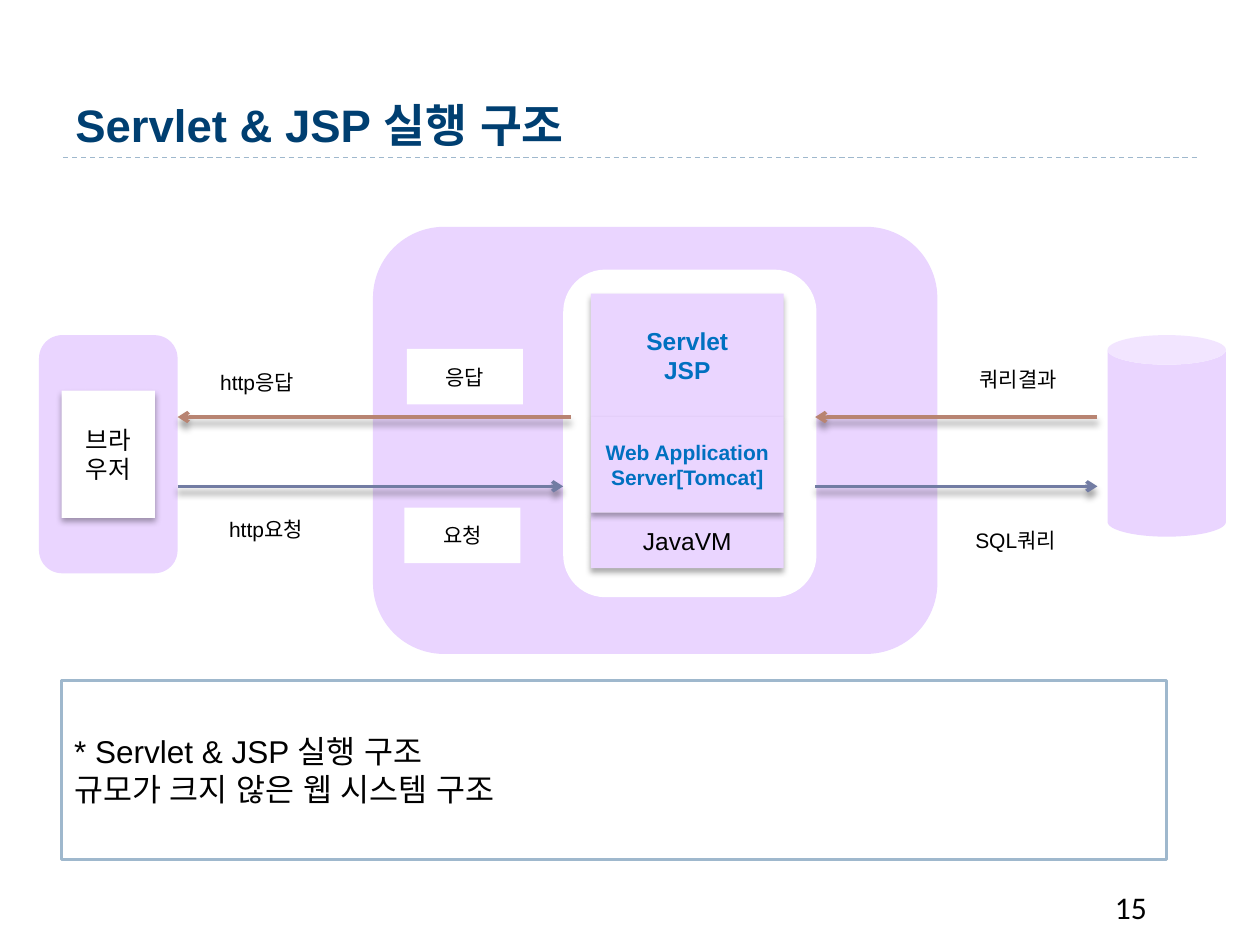
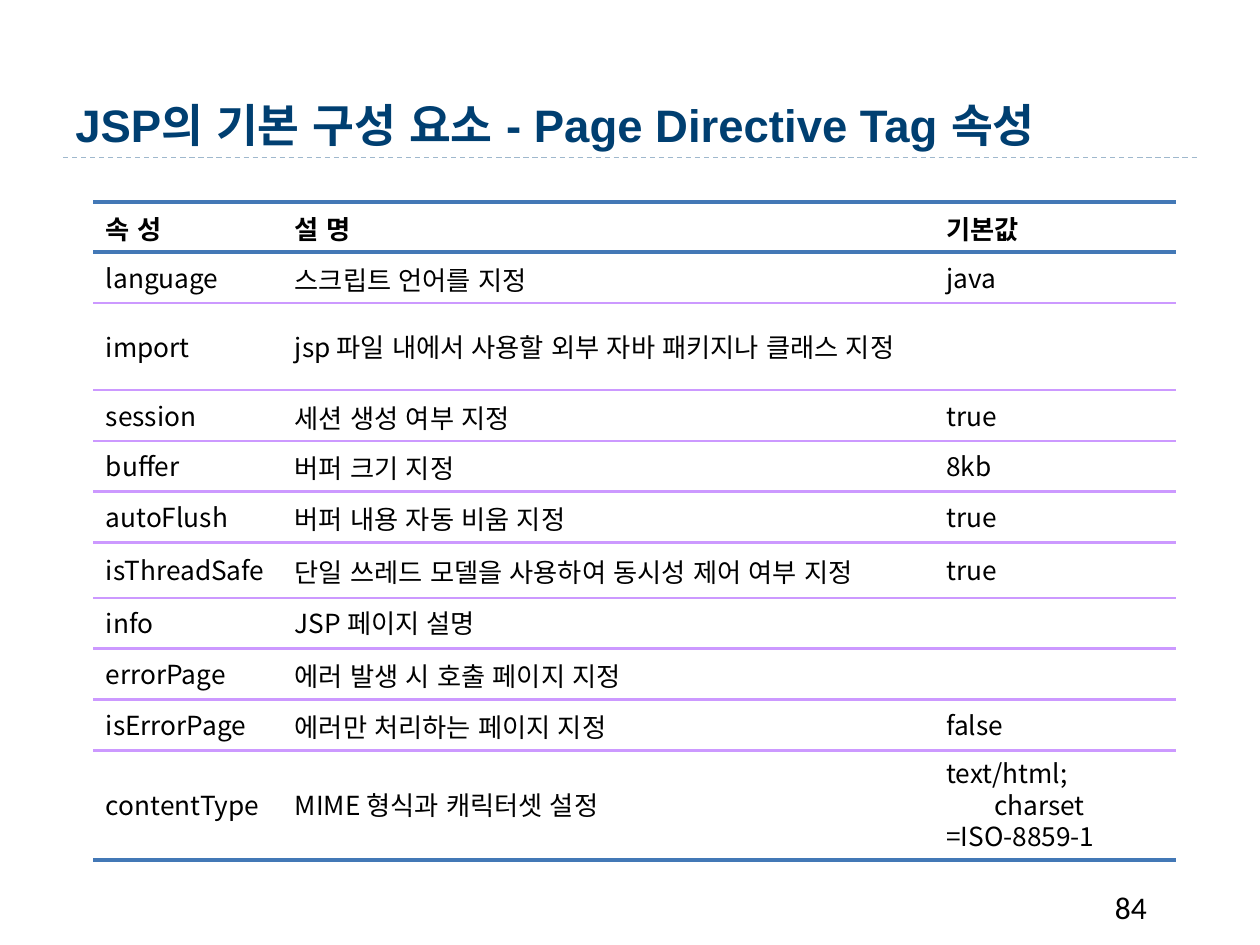
from itertools import accumulate

from lxml.etree import SubElement
from pptx import Presentation
from pptx.dml.color import RGBColor
from pptx.enum.dml import MSO_LINE
from pptx.enum.shapes import MSO_CONNECTOR, MSO_SHAPE
from pptx.enum.text import MSO_ANCHOR, PP_ALIGN
from pptx.oxml.ns import qn
from pptx.util import Inches, Pt

COLORS = {
    "title": "003F71", "rule": "9FB8CD", "text": "000000", "white": "FFFFFF",
    "lilac": "EAD5FF", "accent": "0070C0", "request": "727CA3",
    "response": "B88472", "heavy": "4378B6", "light": "CC99FF",
}
FONT, NUMBER_FONT, TABLE_FONT = "Arial", "Calibri", "Noto Sans CJK KR"
NO_STYLE_NO_GRID = "{2D5ABB26-0587-4C30-8999-92F81FD0307C}"

STRUCTURE_TITLE, STRUCTURE_PAGE = "Servlet & JSP 실행 구조", 15
# kind, (left, top, width, height), fill
PANELS = [
    (MSO_SHAPE.ROUNDED_RECTANGLE, (2.96, 1.8, 4.48, 3.39), "lilac"),
    (MSO_SHAPE.ROUNDED_RECTANGLE, (0.31, 2.66, 1.1, 1.89), "lilac"),
    (MSO_SHAPE.ROUNDED_RECTANGLE, (4.47, 2.14, 2.01, 2.6), "white"),
    (MSO_SHAPE.CAN, (8.79, 2.66, 0.94, 1.6), "lilac"),
]
# lines of text, (left, top, width, height), fill, size, colour, bold
BLOCKS = [
    (["브라", "우저"], (0.49, 3.1, 0.74, 1.01), "white", 14, "text", False),
    (["Servlet", "JSP"], (4.69, 2.33, 1.53, 0.98), "lilac", 14, "accent", True),
    (["JavaVM"], (4.69, 4.07, 1.53, 0.44), "lilac", 14, "text", False),
    (["Web Application Server[Tomcat]"], (4.69, 3.31, 1.53, 0.76),
     "lilac", 12, "accent", True),
]
# start x, end x, y, colour
ARROWS = [
    (1.41, 4.47, 3.86, "request"),
    (6.47, 8.71, 3.86, "request"),
    (8.71, 6.47, 3.31, "response"),
    (4.53, 1.41, 3.31, "response"),
]
LABEL_SIZE = (0.92, 0.44)
LABELS = [
    ("http요청", 1.65, 3.98), ("요청", 3.21, 4.03), ("SQL쿼리", 7.6, 4.07),
    ("쿼리결과", 7.62, 2.79), ("응답", 3.23, 2.77), ("http응답", 1.58, 2.81),
]
SUMMARY = ["* Servlet & JSP 실행 구조", "규모가 크지 않은 웹 시스템 구조"]

DIRECTIVE_TITLE, DIRECTIVE_PAGE = "JSP의 기본 구성 요소 - Page Directive Tag 속성", 84
ATTRIBUTES = [
    ("속 성", "설 명", "기본값"),
    ("language", "스크립트 언어를 지정", "java"),
    ("import", "jsp 파일 내에서 사용할 외부 자바 패키지나 클래스 지정", ""),
    ("session", "세션 생성 여부 지정", "true"),
    ("buffer", "버퍼 크기 지정", "8kb"),
    ("autoFlush", "버퍼 내용 자동 비움 지정", "true"),
    ("isThreadSafe", "단일 쓰레드 모델을 사용하여 동시성 제어 여부 지정", "true"),
    ("info", "JSP 페이지 설명", ""),
    ("errorPage", "에러 발생 시 호출 페이지 지정", ""),
    ("isErrorPage", "에러만 처리하는 페이지 지정", "false"),
    ("contentType", "MIME 형식과 캐릭터셋 설정", "text/html; charset\n=ISO-8859-1"),
]
TABLE_LEFT, TABLE_TOP, TABLE_RIGHT = 0.74, 1.6, 9.33
COLUMN_WIDTHS = (1.5, 5.17, 1.92)
ROW_HEIGHT = 0.403
TALL_ROWS = {"import": 0.69, "isThreadSafe": 0.44, "contentType": 0.87}


def color(name):
    return RGBColor.from_string(COLORS[name])


def box(values):
    return [Inches(value) for value in values]


def write(frame, lines, size, color_name="text", bold=False, font=FONT,
          align=PP_ALIGN.LEFT, anchor=MSO_ANCHOR.MIDDLE):
    frame.word_wrap = True
    frame.vertical_anchor = anchor
    frame.text = "\n".join(lines)
    for paragraph in frame.paragraphs:
        paragraph.alignment = align
        paragraph.font.name = font
        paragraph.font.size = Pt(size)
        paragraph.font.bold = bold
        paragraph.font.color.rgb = color(color_name)
        defaults = paragraph._p.pPr.find(qn("a:defRPr"))
        SubElement(defaults, qn("a:ea"), typeface=FONT)


def set_shadow(shape, alpha=0, blur=0, distance=0):
    """Give the shape a downward shadow, or none when alpha is 0."""
    effects = SubElement(shape._element.spPr, qn("a:effectLst"))
    if alpha:
        shadow = SubElement(effects, qn("a:outerShdw"), blurRad=str(Pt(blur)),
                            dist=str(Pt(distance)), dir="5400000", rotWithShape="0")
        black = SubElement(shadow, qn("a:srgbClr"), val=COLORS["text"])
        SubElement(black, qn("a:alpha"), val=str(alpha * 1000))


def add_box(slide, kind, place, fill, line=None):
    shape = slide.shapes.add_shape(kind, *box(place))
    shape.fill.solid()
    shape.fill.fore_color.rgb = color(fill)
    if line:
        shape.line.color.rgb = color(line)
        shape.line.width = Pt(1.5)
    else:
        shape.line.fill.background()
    return shape


def add_line(slide, start_x, end_x, y, color_name, width):
    line = slide.shapes.add_connector(MSO_CONNECTOR.STRAIGHT, *box((start_x, y, end_x, y)))
    line.line.color.rgb = color(color_name)
    line.line.width = Pt(width)
    return line


def add_page(presentation, title, number):
    """Add a slide with the shared title, dashed rule and page number."""
    slide = presentation.slides.add_slide(presentation.slide_layouts[6])
    rule = add_line(slide, 0.5, 9.5, 1.25, "rule", 0.75)
    rule.line.dash_style = MSO_LINE.DASH
    set_shadow(rule)
    title_box = slide.shapes.add_textbox(*box((0.5, 0.17, 9, 1.08)))
    write(title_box.text_frame, [title], 26, "title", True, anchor=MSO_ANCHOR.BOTTOM)
    number_box = slide.shapes.add_textbox(*box((8.75, 7, 0.83, 0.4)))
    write(number_box.text_frame, [str(number)], 18, font=NUMBER_FONT,
          anchor=MSO_ANCHOR.TOP)
    return slide


def add_structure_slide(presentation):
    slide = add_page(presentation, STRUCTURE_TITLE, STRUCTURE_PAGE)
    for kind, place, fill in PANELS:
        add_box(slide, kind, place, fill).shadow.inherit = False
    for lines, place, fill, size, color_name, bold in BLOCKS:
        block = add_box(slide, MSO_SHAPE.RECTANGLE, place, fill)
        set_shadow(block, 32, 3.5, 2.2)
        write(block.text_frame, lines, size, color_name, bold, align=PP_ALIGN.CENTER)
    for start_x, end_x, y, color_name in ARROWS:
        arrow = add_line(slide, start_x, end_x, y, color_name, 2)
        SubElement(arrow.line._get_or_add_ln(), qn("a:tailEnd"), type="arrow")
        set_shadow(arrow, 40, 4, 3.4)
    for text, left, top in LABELS:
        label = add_box(slide, MSO_SHAPE.RECTANGLE, (left, top, *LABEL_SIZE), "white")
        label.shadow.inherit = False
        write(label.text_frame, [text], 12, align=PP_ALIGN.CENTER)
    summary = add_box(slide, MSO_SHAPE.RECTANGLE, (0.49, 5.4, 8.77, 1.42), "white", "rule")
    summary.shadow.inherit = False
    write(summary.text_frame, SUMMARY, 18)


def add_directive_slide(presentation):
    slide = add_page(presentation, DIRECTIVE_TITLE, DIRECTIVE_PAGE)
    heights = [TALL_ROWS.get(row[0], ROW_HEIGHT) for row in ATTRIBUTES]
    place = (TABLE_LEFT, TABLE_TOP, sum(COLUMN_WIDTHS), sum(heights))
    table = slide.shapes.add_table(len(ATTRIBUTES), len(COLUMN_WIDTHS), *box(place)).table
    table.first_row = table.horz_banding = False
    table._tbl.tblPr.find(qn("a:tableStyleId")).text = NO_STYLE_NO_GRID
    for column, width in zip(table.columns, COLUMN_WIDTHS):
        column.width = Inches(width)

    for index, values in enumerate(ATTRIBUTES):
        table.rows[index].height = Inches(heights[index])
        for cell, text in zip(table.rows[index].cells, values):
            cell.margin_top, cell.margin_bottom = Inches(0.06), Inches(0.02)
            cell.vertical_anchor = MSO_ANCHOR.MIDDLE
            cell.fill.background()
            write(cell.text_frame, text.split("\n"), 15, bold=index == 0, font=TABLE_FONT)
            for paragraph in cell.text_frame.paragraphs:
                paragraph.line_spacing = Pt(18)
                properties = paragraph._p.get_or_add_pPr()
                properties.set("marL", str(Inches(0.38)))
                properties.set("indent", str(-Inches(0.38)))

    heavy_rules = (0, 1, len(ATTRIBUTES))
    for index, y in enumerate(accumulate(heights, initial=TABLE_TOP)):
        style = ("heavy", 2.25) if index in heavy_rules else ("light", 1.5)
        set_shadow(add_line(slide, TABLE_LEFT, TABLE_RIGHT, y, *style))


def main():
    presentation = Presentation()
    presentation.slide_width, presentation.slide_height = Inches(10), Inches(7.5)
    add_structure_slide(presentation)
    add_directive_slide(presentation)
    presentation.save("out.pptx")


if __name__ == "__main__":
    main()
